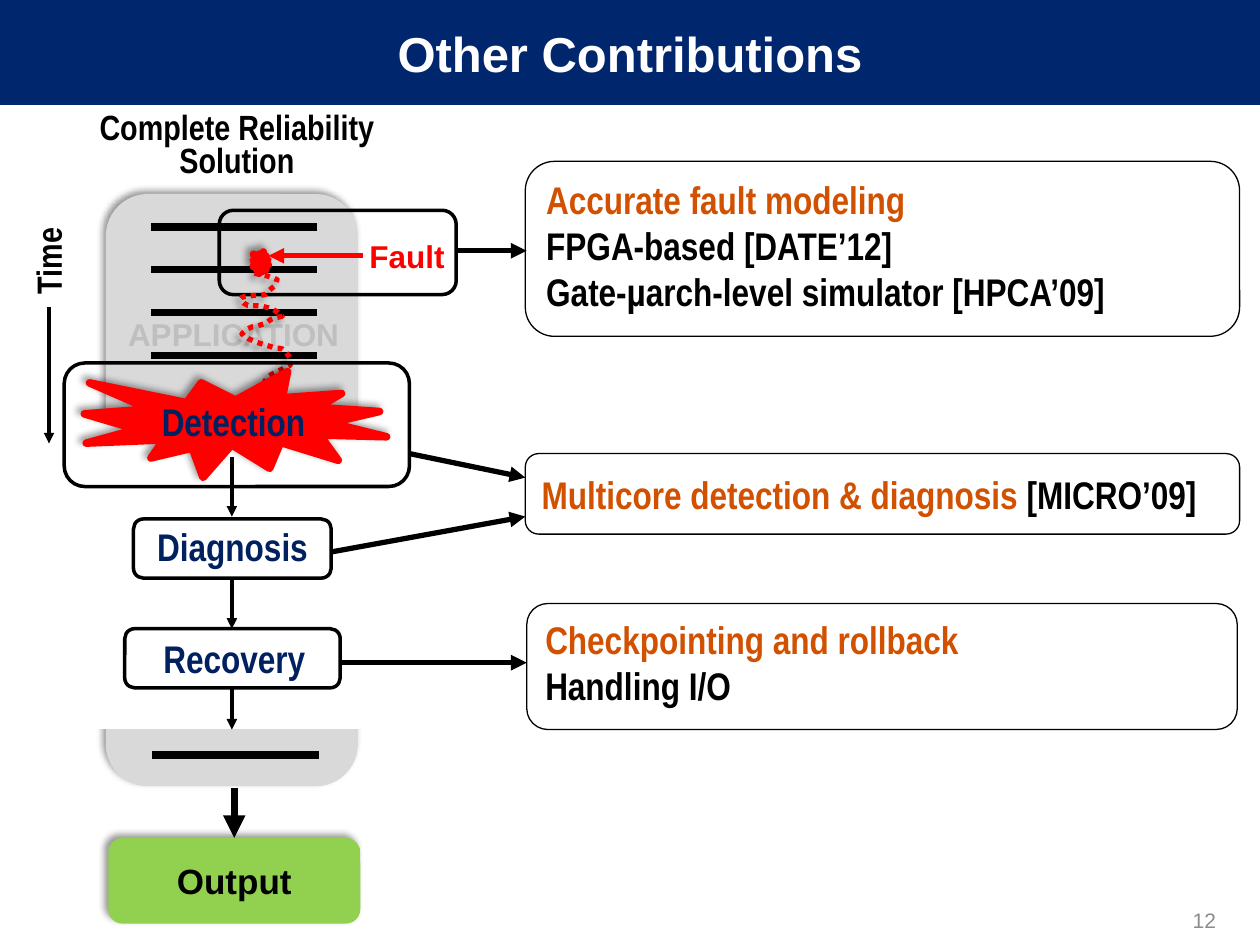
from lxml import etree
from pptx import Presentation
from pptx.dml.color import RGBColor
from pptx.enum import dml, shapes, text
from pptx.oxml import ns
from pptx.util import Pt

COLORS = {
    "navy": "00266E", "white": "FFFFFF", "black": "000000", "red": "FF0000",
    "gray": "D9D9D9", "watermark": "BFBFBF", "number": "8C8C8C",
    "green": "92D050", "label": "002060", "orange": "D15100",
}
NARROW = "Arial Narrow"
ROUNDED = shapes.MSO_SHAPE.ROUNDED_RECTANGLE
BURST = shapes.MSO_SHAPE.EXPLOSION1
MIDDLE = text.MSO_ANCHOR.MIDDLE
CENTER = text.PP_ALIGN.CENTER
FLOW_X = 132.5  # vertical axis of the detection-recovery chain

FAULT_START = (145.4, 156.2)
# Each row: two control points and the end point of a cubic curve.
FAULT_CURVES = [
    (155.5, 158.4, 151.2, 157, 158.4, 159.8),
    (157.7, 160.6, 157.7, 162, 157, 163.4),
    (154.8, 164.9, 151.2, 168.5, 151.2, 168.5),
    (146.9, 169.2, 141.8, 168.5, 138.2, 169.9),
    (136.8, 170.6, 138.2, 172.1, 139.7, 173.5),
    (141.8, 175.7, 146.2, 174.2, 149.8, 175),
    (155.5, 176.4, 157.7, 177.1, 161.3, 180.7),
    (159.1, 181.4, 157, 181.4, 155.5, 182.2),
    (154.1, 182.9, 152.6, 184.3, 151.2, 185),
    (144, 187.9, 144, 185, 138.2, 190.8),
    (142.6, 195.1, 149.8, 196.6, 157, 198.7),
    (157.7, 199.4, 159.8, 198.7, 161.3, 199.4),
    (163.4, 200.9, 166.3, 205.2, 166.3, 205.2),
    (166.3, 206.6, 166.3, 208.1, 165.6, 208.8),
    (164.2, 209.5, 162, 210.2, 161.3, 211),
    (157, 213.1, 152.6, 214.6, 151.2, 218.2),
    (151.2, 218.9, 151.2, 219.6, 152.6, 220.3),
    (153.4, 221.8, 156.2, 221, 157, 222.5),
    (157.7, 225.4, 155.5, 228.2, 155.5, 230.4),
    (146.9, 232.6, 149, 235.4, 151.2, 239.8),
    (157, 241.9, 154.8, 243.4, 159.8, 246.2),
]


def rgb(name):
    return RGBColor.from_string(COLORS[name])


def write(tf, paragraphs, size, font=NARROW, align=None, bold=True, spacing=None):
    """Fill a text frame; a paragraph is a list of (words, colour) runs."""
    for i, runs in enumerate(paragraphs):
        p = tf.paragraphs[0] if i == 0 else tf.add_paragraph()
        p.alignment = align or text.PP_ALIGN.LEFT
        if spacing:
            p.line_spacing = spacing
        for words, color in runs:
            r = p.add_run()
            r.text = words
            r.font.size, r.font.name, r.font.bold = Pt(size), font, bold
            r.font.color.rgb = rgb(color)


def add_shadow(sp, alpha=40, direction=225):
    effects = sp._element.spPr.find(ns.qn("a:effectLst"))
    shadow = etree.SubElement(effects, ns.qn("a:outerShdw"), blurRad=str(Pt(4)),
                              dist=str(Pt(3)), dir=str(direction * 60000))
    color = etree.SubElement(shadow, ns.qn("a:srgbClr"), val=COLORS["black"])
    etree.SubElement(color, ns.qn("a:alpha"), val=str(alpha * 1000))


def style(sp, fill, line, width):
    sp.shadow.inherit = False
    if fill:
        sp.fill.solid()
        sp.fill.fore_color.rgb = rgb(fill)
    else:
        sp.fill.background()
    if line:
        sp.line.color.rgb = rgb(line)
        sp.line.width = Pt(width)
    else:
        sp.line.fill.background()


def add_box(s, kind, box, fill=None, line=None, width=2):
    sp = s.shapes.add_shape(kind, *map(Pt, box))
    style(sp, fill, line, width)
    return sp


def add_label(s, box, paragraphs, size, wrap=False, anchor=None, **kw):
    sp = s.shapes.add_textbox(*map(Pt, box))
    tf = sp.text_frame
    tf.word_wrap = wrap
    if anchor:
        tf.vertical_anchor = anchor
    write(tf, paragraphs, size, **kw)
    return sp


def add_panel(s, box, paragraphs, anchor=text.MSO_ANCHOR.TOP):
    sp = add_box(s, ROUNDED, box, line="black", width=0.75)
    sp.text_frame.vertical_anchor = anchor
    write(sp.text_frame, paragraphs, 22)


def add_line(s, x1, y1, x2, y2, width, color="black", arrow=True):
    c = s.shapes.add_connector(shapes.MSO_CONNECTOR.STRAIGHT, *map(Pt, (x1, y1, x2, y2)))
    c.line.color.rgb = rgb(color)
    c.line.width = Pt(width)
    if arrow:
        etree.SubElement(c.line._get_or_add_ln(), ns.qn("a:tailEnd"), type="triangle")
    etree.SubElement(c._element.spPr, ns.qn("a:effectLst"))


def curve_points(start, curves, steps=4):
    """Sample a chain of cubic Bezier curves."""
    x0, y0 = start
    for x1, y1, x2, y2, x3, y3 in curves:
        for k in range(1, steps + 1):
            t = k / steps
            a, b, c, d = (1 - t) ** 3, 3 * t * (1 - t) ** 2, 3 * t * t * (1 - t), t ** 3
            yield (Pt(a * x0 + b * x1 + c * x2 + d * x3),
                   Pt(a * y0 + b * y1 + c * y2 + d * y3))
        x0, y0 = x3, y3


def add_fault_trail(s):
    builder = s.shapes.build_freeform(*map(Pt, FAULT_START))
    builder.add_line_segments(list(curve_points(FAULT_START, FAULT_CURVES)), close=False)
    sp = builder.convert_to_shape()
    style(sp, None, "red", 3)
    sp.line.dash_style = dml.MSO_LINE.ROUND_DOT
    add_shadow(sp, 43, 135)


def add_title(s):
    title = s.shapes.title
    title.left, title.top, title.width, title.height = map(Pt, (0, 0, 720, 60))
    title.fill.solid()
    title.fill.fore_color.rgb = rgb("navy")
    title.text_frame.vertical_anchor = MIDDLE
    write(title.text_frame, [[("Other Contributions", "white")]], 28, "Arial", CENTER)


def add_application(s):
    add_shadow(add_box(s, ROUNDED, (60.5, 110.9, 144, 338.4), "gray"))
    add_label(s, (65.5, 176.4, 136, 28.8), [[("APPLICATION", "watermark")]], 18,
              font="Arial", align=CENTER)
    for i in range(4):
        y = 129.6 + 24.5 * i
        add_line(s, 86.4, y, 181.4, y, 4.32, arrow=False)
    add_line(s, 87.1, 431.3, 182.2, 431.3, 4.32, arrow=False)
    add_line(s, 133.9, 450, 133.9, 478.8, 4.32)
    output = add_box(s, ROUNDED, (61.9, 478.8, 144, 49), "green")
    add_shadow(output)
    output.text_frame.vertical_anchor = MIDDLE
    write(output.text_frame, [[("Output", "black")]], 20, "Arial", CENTER)
    add_box(s, shapes.MSO_SHAPE.RECTANGLE, (44.6, 236.2, 178.6, 180), "white", "white", 0.75)


def add_time_axis(s):
    time = add_label(s, (-4.3, 127.4, 64, 31.7), [[("Time", "black")]], 20, wrap=True)
    time.rotation = 270
    add_line(s, 28, 175.7, 28, 253.4, 2)


def add_fault(s):
    add_shadow(add_box(s, BURST, (144.7, 144, 8.6, 12.2), "red", "red", 4.32))
    add_line(s, 207.4, 146.2, 153.4, 146.2, 3, "red")
    add_label(s, (203.8, 131.8, 57.6, 28.8), [[("Fault", "red")]], 18,
              font="Arial", align=CENTER)
    add_box(s, ROUNDED, (125.3, 120.2, 135.4, 48.2), line="black")
    add_fault_trail(s)


def add_recovery_chain(s):
    burst = add_box(s, BURST, (48.2, 212.4, 172.8, 60.5), "red", "red", 4.32)
    add_shadow(burst)
    burst.text_frame.word_wrap = False
    burst.text_frame.vertical_anchor = MIDDLE
    write(burst.text_frame, [[("Detection", "label")]], 22, align=CENTER)
    add_box(s, ROUNDED, (36.7, 207.4, 197.3, 70.6), line="black")
    for name, box, label_box in (
        ("Diagnosis", (76.3, 296.6, 113, 33.8), (82.1, 295.2, 101.5, 33.8)),
        ("Recovery", (71.3, 359.3, 123.1, 33.8), (85.7, 359.3, 96.5, 33.8)),
    ):
        add_box(s, ROUNDED, box, line="black")
        add_label(s, label_box, [[(name, "label")]], 22, align=CENTER)
    for top, bottom in ((261.4, 295.2), (330.5, 359.3), (393.1, 416.9)):
        add_line(s, FLOW_X, top, FLOW_X, bottom, 2)


def add_contributions(s):
    add_panel(s, (300.2, 92.2, 408.2, 100), [
        [("Accurate fault modeling", "orange")],
        [("FPGA-based [DATE’12]", "black")],
        [("Gate-µarch-level simulator [HPCA’09]", "black")]])
    add_panel(s, (300.2, 259.2, 408.2, 46), [
        [("Multicore detection & diagnosis ", "orange"), ("[MICRO’09]", "black")]], MIDDLE)
    add_panel(s, (301, 344.9, 406, 72), [
        [("Checkpointing and rollback", "orange")],
        [("Handling I/O", "black")]])
    for ends in ((260.6, 143.3, 301, 143.3), (234, 259.2, 300.2, 272.9),
                 (189.4, 315.4, 300.2, 295.2), (194.4, 378.7, 301, 378.7)):
        add_line(s, *ends, 3)


def main():
    prs = Presentation()
    prs.slide_width, prs.slide_height = Pt(720), Pt(540)
    s = prs.slides.add_slide(prs.slide_layouts[5])
    add_title(s)
    add_label(s, (534.2, 511.2, 167.8, 28.8), [[("12", "number")]], 12, wrap=True,
              anchor=MIDDLE, font="Arial", align=text.PP_ALIGN.RIGHT, bold=False)
    add_application(s)
    add_time_axis(s)
    add_label(s, (49.7, 61.2, 171.4, 46), [[("Complete Reliability", "black")],
              [("Solution", "black")]], 20, wrap=True, align=CENTER, spacing=0.8)
    add_fault(s)
    add_recovery_chain(s)
    add_contributions(s)
    prs.save("out.pptx")


if __name__ == "__main__":
    main()
